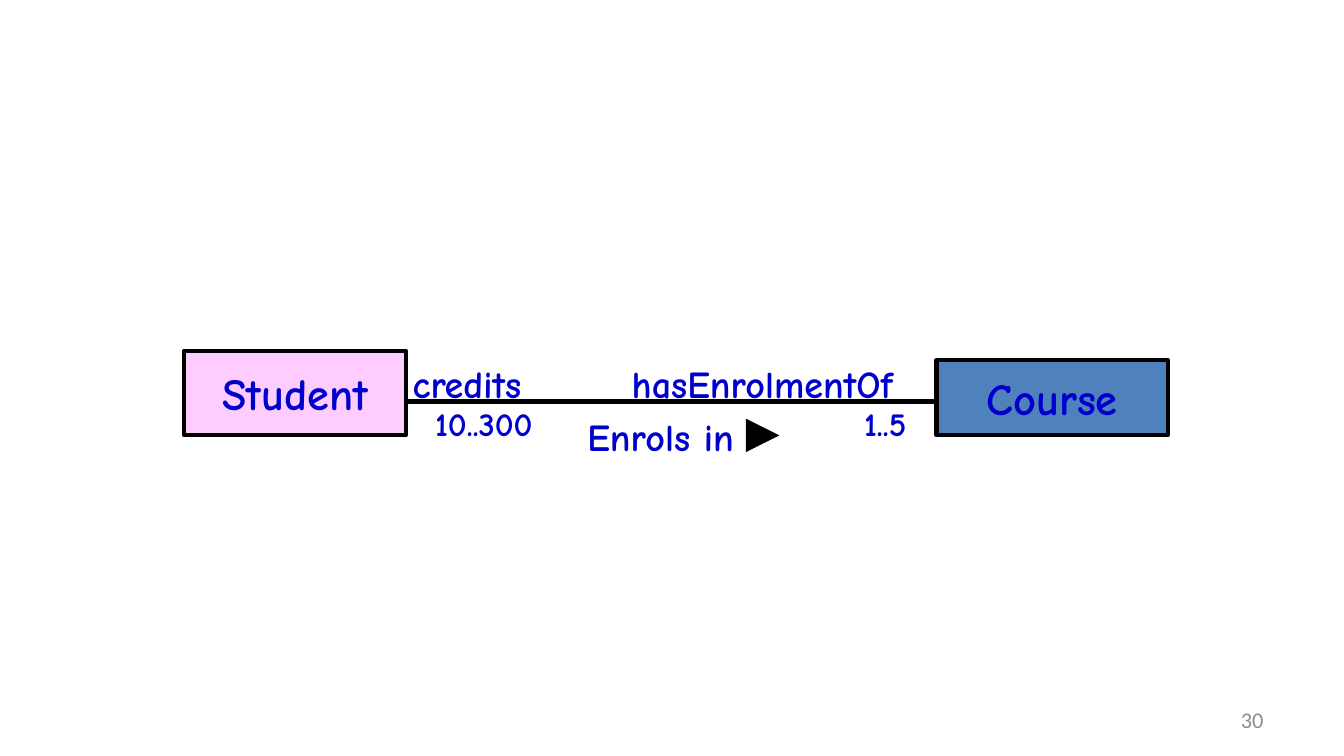
from lxml.etree import SubElement
from pptx import Presentation
from pptx.dml.color import RGBColor
from pptx.enum.shapes import MSO_CONNECTOR, MSO_SHAPE
from pptx.enum.text import MSO_ANCHOR, PP_ALIGN
from pptx.oxml.ns import qn
from pptx.util import Cm, Pt

COLORS = {"text": "0000CC", "line": "000000", "student": "FFCCFF",
          "course": "4F81BD", "number": "8C8C8C"}
LABEL = {"name": "Comic Neue", "bold": True}
INSETS = {"margin_left": Cm(0.18), "margin_right": Cm(0.18),
          "margin_top": Cm(0.1), "margin_bottom": Cm(0.1)}


def write(shape, text, size, align, color="text", font=LABEL, frame=INSETS):
    for key, value in frame.items():
        setattr(shape.text_frame, key, value)
    paragraph = shape.text_frame.paragraphs[0]
    paragraph.alignment = align
    run = paragraph.add_run()
    run.text = text
    run.font.size = Pt(size)
    for key, value in font.items():
        setattr(run.font, key, value)
    run.font.color.rgb = RGBColor.from_string(COLORS[color])


def draw_line(left, right, y, width):
    line = slide.shapes.add_connector(
        MSO_CONNECTOR.STRAIGHT, Cm(left), Cm(y), Cm(right), Cm(y))
    line.line.color.rgb = RGBColor.from_string(COLORS["line"])
    line.line.width = Pt(width)
    SubElement(line._element.spPr, qn("a:effectLst"))
    return line


presentation = Presentation()
presentation.slide_width, presentation.slide_height = Cm(25.4), Cm(14.29)
slide = presentation.slides.add_slide(presentation.slide_layouts[6])

# Classes
for name, color, *place in [
    ("Student", "student", 3.48, 6.63, 4.19, 1.6),
    ("Course", "course", 17.7, 6.81, 4.37, 1.42),
]:
    entity = slide.shapes.add_shape(MSO_SHAPE.RECTANGLE, *map(Cm, place))
    entity.shadow.inherit = False
    entity.fill.solid()
    entity.fill.fore_color.rgb = RGBColor.from_string(COLORS[color])
    entity.line.color.rgb = RGBColor.from_string(COLORS["line"])
    entity.line.width = Pt(2.25)
    write(entity, name, 23.8, PP_ALIGN.CENTER,
          frame={**INSETS, "word_wrap": False,
                 "vertical_anchor": MSO_ANCHOR.MIDDLE})

# Association and its reading direction
draw_line(7.67, 17.7, 7.59, 2.25)
direction = draw_line(14.1, 14.73, 8.23, 6)
SubElement(direction.line._get_or_add_ln(), qn("a:tailEnd"), type="triangle")

# Roles, multiplicities and association name
for text, size, align, wrap, *place in [
    ("credits", 20.4, PP_ALIGN.LEFT, True, 7.62, 6.71, 2.97, 1.07),
    ("10..300", 17.7, PP_ALIGN.CENTER, True, 7.67, 7.52, 2.95, 0.94),
    ("1..5", 17.7, PP_ALIGN.CENTER, False, 15.88, 7.52, 1.7, 0.94),
    ("hasEnrolmentOf", 20.4, PP_ALIGN.LEFT, True, 11.76, 6.71, 6.12, 1.07),
    ("Enrols in", 20.4, PP_ALIGN.LEFT, True, 10.92, 7.72, 6.12, 1.07),
]:
    label = slide.shapes.add_textbox(*map(Cm, place))
    write(label, text, size, align, frame={**INSETS, "word_wrap": wrap})

# Slide number
number = slide.shapes.add_textbox(Cm(18.21), Cm(13.23), Cm(5.92), Cm(0.76))
write(number, "30", 12, PP_ALIGN.RIGHT, "number", {"name": "Calibri"},
      {"word_wrap": True, "vertical_anchor": MSO_ANCHOR.MIDDLE})

presentation.save("out.pptx")
